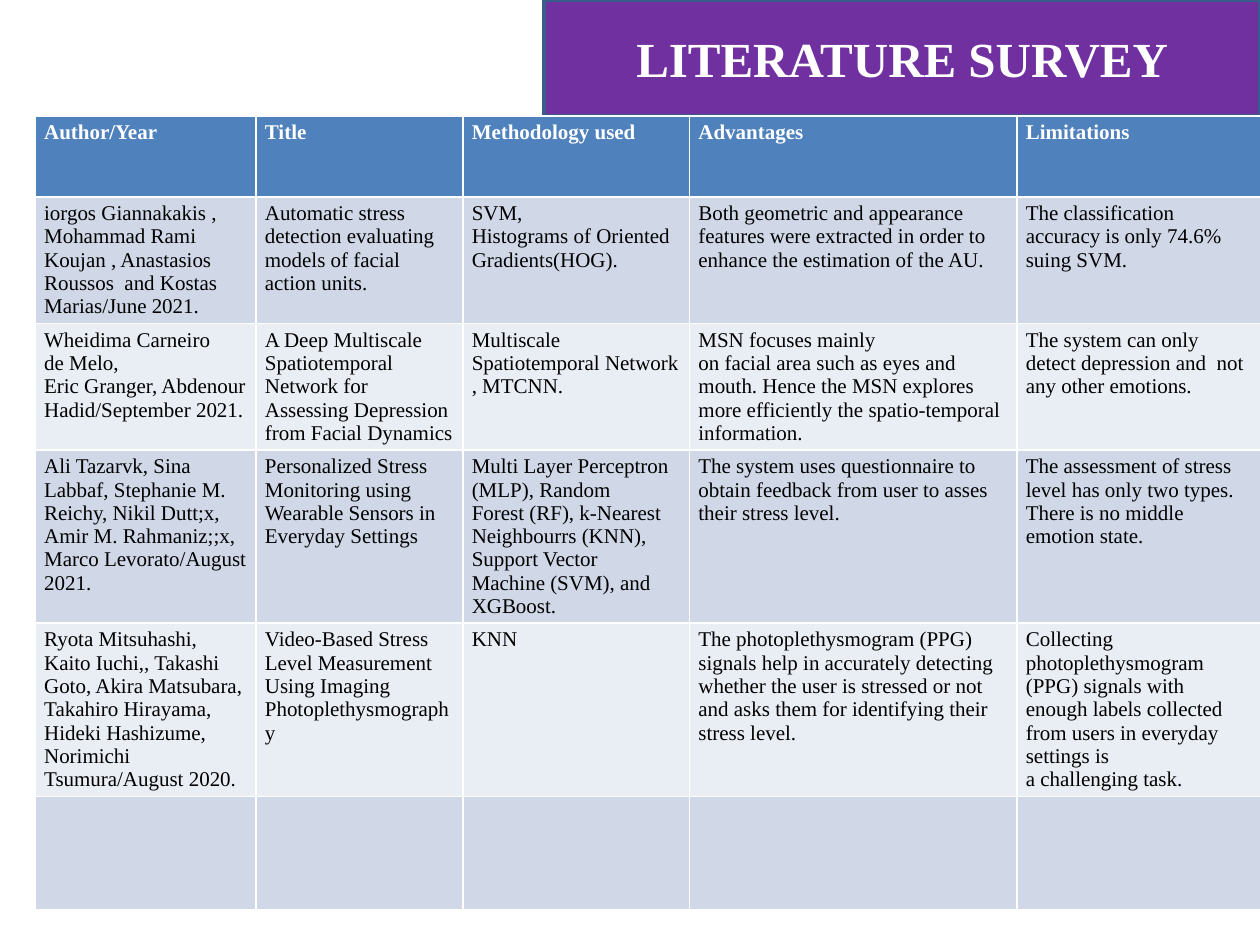
import pptx
import pptx.dml.color
import pptx.enum.text
import pptx.util

Cm = pptx.util.Cm
Pt = pptx.util.Pt
RGB = pptx.dml.color.RGBColor

WHITE = RGB(0xFF, 0xFF, 0xFF)
BLACK = RGB(0x00, 0x00, 0x00)
PURPLE = RGB(0x70, 0x30, 0xA0)
NAVY = RGB(0x38, 0x5D, 0x8A)
BLUE = RGB(0x4F, 0x81, 0xBD)
BANDS = [RGB(0xE9, 0xED, 0xF4), RGB(0xD0, 0xD8, 0xE8)]
FONT = "Times New Roman"

WIDTHS = [4.45, 4.17, 4.57, 6.6, 4.93]
HEIGHTS = [1.63, 1.73, 2.26, 2.31, 2.29, 2.29]

# One list per table row; a line break in a cell starts a new paragraph.
ROWS = [
    ["Author/Year", "Title", "Methodology used", "Advantages", "Limitations"],
    [
        "iorgos Giannakakis , Mohammad Rami Koujan , Anastasios Roussos  and "
        "Kostas Marias/June 2021.",
        "Automatic stress detection evaluating models of facial action units.",
        "SVM,\nHistograms of Oriented Gradients(HOG).",
        "Both geometric and appearance features were extracted in order to "
        "enhance the estimation of the AU.",
        "The classification accuracy is only 74.6% suing SVM.",
    ],
    [
        "Wheidima Carneiro\nde Melo,\n"
        "Eric Granger, Abdenour Hadid/September 2021.",
        "A Deep Multiscale Spatiotemporal Network for\n"
        "Assessing Depression from Facial Dynamics",
        "Multiscale Spatiotemporal Network , MTCNN.",
        "MSN focuses mainly\non facial area such as eyes and mouth. Hence the "
        "MSN explores more efficiently the spatio-temporal information.",
        "The system can only detect depression and  not any other emotions.",
    ],
    [
        "Ali Tazarvk, Sina Labbaf, Stephanie M. Reichy, Nikil Dutt;x, "
        "Amir M. Rahmaniz;;x, Marco Levorato/August 2021.",
        "Personalized Stress Monitoring using Wearable Sensors in "
        "Everyday Settings",
        "Multi Layer Perceptron (MLP), Random\n"
        "Forest (RF), k-Nearest Neighbourrs (KNN), Support Vector\n"
        "Machine (SVM), and XGBoost.",
        "The system uses questionnaire to obtain feedback from user to asses "
        "their stress level.",
        "The assessment of stress level has only two types. There is no "
        "middle emotion state.",
    ],
    [
        "Ryota Mitsuhashi, Kaito Iuchi,, Takashi Goto, Akira Matsubara,\n"
        "Takahiro Hirayama, Hideki Hashizume, Norimichi Tsumura/August 2020.",
        "Video-Based Stress Level Measurement Using Imaging "
        "Photoplethysmography",
        "KNN",
        "The photoplethysmogram (PPG) signals help in accurately detecting "
        "whether the user is stressed or not and asks them for identifying "
        "their stress level.",
        "Collecting photoplethysmogram (PPG) signals with\n"
        "enough labels collected from users in everyday settings is\n"
        "a challenging task.",
    ],
    [""] * 5,
]


def write(frame, text, size, color, bold):
    """Put each line of text in its own paragraph, as one styled run."""
    for i, line in enumerate(text.split("\n")):
        para = frame.paragraphs[0] if i == 0 else frame.add_paragraph()
        run = para.add_run()
        run.text = line
        run.font.name = FONT
        run.font.size = Pt(size)
        run.font.bold = bold
        run.font.color.rgb = color


deck = pptx.Presentation()
deck.slide_width = Cm(25.4)
deck.slide_height = Cm(19.05)
slide = deck.slides.add_slide(deck.slide_layouts[5])

# Title banner
title = slide.shapes.title
title.left, title.top = Cm(10.97), Cm(0)
title.width, title.height = Cm(14.43), Cm(2.34)
title.fill.solid()
title.fill.fore_color.rgb = PURPLE
title.line.color.rgb = NAVY
title.line.width = Pt(2)
frame = title.text_frame
frame.vertical_anchor = pptx.enum.text.MSO_ANCHOR.MIDDLE
write(frame, "LITERATURE SURVEY", 28, WHITE, True)
frame.paragraphs[0].alignment = pptx.enum.text.PP_ALIGN.CENTER

# Survey table; the default style draws its white rules
table = slide.shapes.add_table(
    len(ROWS), len(WIDTHS), Cm(0.71), Cm(2.34),
    Cm(sum(WIDTHS)), Cm(sum(HEIGHTS)),
).table
for col, width in zip(table.columns, WIDTHS):
    col.width = Cm(width)
for r, (texts, height) in enumerate(zip(ROWS, HEIGHTS)):
    head = r == 0
    table.rows[r].height = Cm(height)
    for c, text in enumerate(texts):
        cell = table.cell(r, c)
        cell.margin_left = cell.margin_right = Cm(0.18)
        cell.margin_top = cell.margin_bottom = Cm(0.1)
        cell.fill.solid()
        cell.fill.fore_color.rgb = BLUE if head else BANDS[r % 2]
        if text:
            write(cell.text_frame, text, 12, WHITE if head else BLACK, head)

deck.save("out.pptx")
